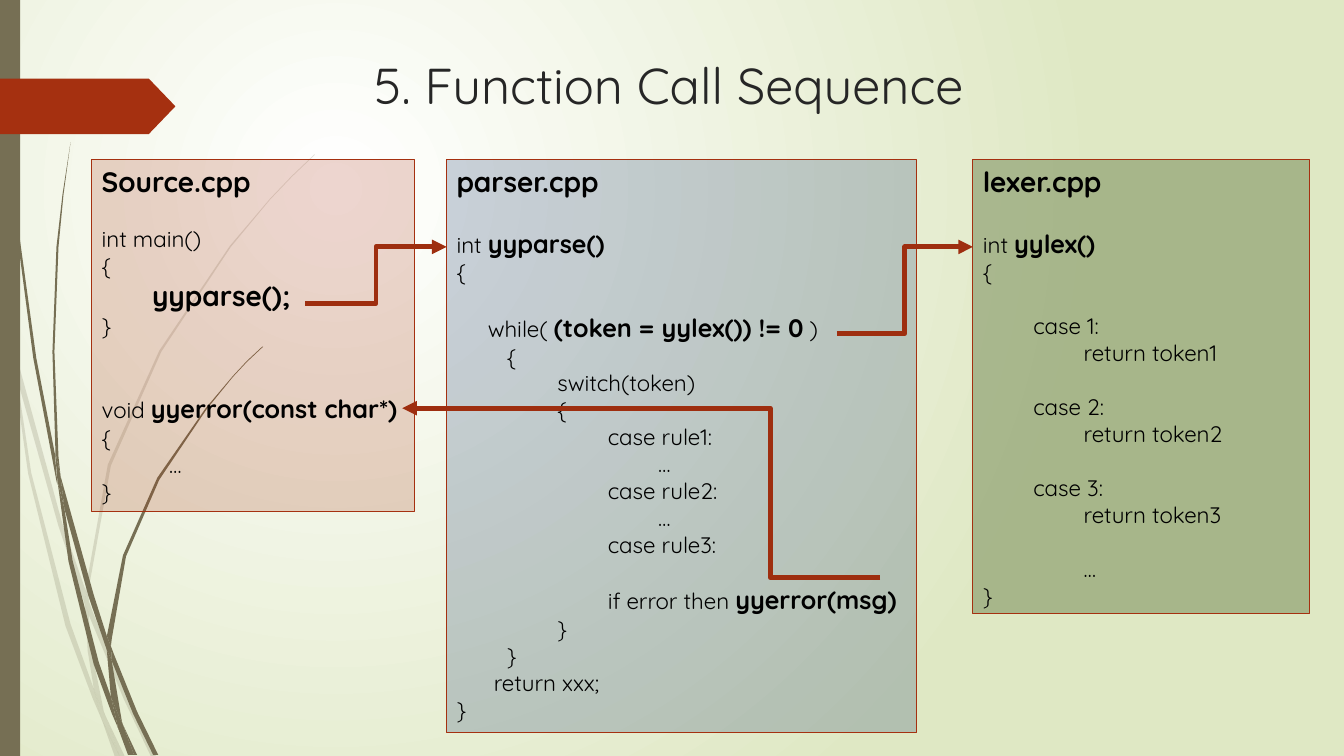
from lxml.etree import SubElement
from pptx import Presentation
from pptx.dml.color import RGBColor
from pptx.enum.shapes import MSO_CONNECTOR, MSO_SHAPE
from pptx.enum.text import MSO_ANCHOR, MSO_AUTO_SIZE, PP_ALIGN
from pptx.oxml.ns import qn
from pptx.util import Pt

PX = 9144
FONT = "Quicksand"
HEX = {"white": "FFFFFF", "lime": "DFE8C4", "olive": "766F54", "rust": "A53010",
       "arrow": "9E2E0F", "navy": "002060", "green": "728653", "black": "000000",
       "title": "262626"}

PALE = [
    [(11, 350), (9, 322), (0, 282), (0, 299), (10, 344)],
    [(58, 522), (84, 599), (85, 586), (62, 520), (14, 345), (17, 376)],
    [(92, 607), (88, 596), (88, 610), (123, 694), (150, 751), (155, 751), (127, 692)],
    [(119, 751), (124, 751), (105, 711)],
    [(93, 683), (70, 619), (31, 469), (17, 376), (11, 350), (28, 470), (65, 621),
     (92, 693), (101, 714), (99, 707)],
    [(84, 599), (87, 646), (93, 683), (96, 692), (105, 711), (103, 706), (91, 646),
     (88, 610), (88, 608)],
    [(88, 584), (110, 462), (160, 349), (229, 245), (268, 198), (290, 175), (312, 154),
     (312, 153), (289, 175), (268, 197), (228, 244), (158, 348), (107, 461), (85, 584),
     (85, 586), (88, 596)],
    [(101, 714), (114, 751), (119, 751)],
    [(88, 608), (88, 610), (88, 596), (85, 586), (84, 599)],
    [(96, 692), (93, 683), (99, 707), (101, 714), (119, 751), (105, 711)],
]
DARK = [
    [(7, 110), (17, 233), (33, 355), (56, 477), (57, 481), (55, 457), (55, 453),
     (36, 355), (19, 232), (8, 109), (5, 48), (4, 0), (3, 0), (4, 48)],
    [(88, 592), (106, 645), (106, 633), (106, 631), (93, 590), (60, 472), (64, 505)],
    [(113, 649), (110, 641), (111, 656), (132, 708), (152, 749), (157, 749), (136, 706)],
    [(110, 691), (98, 657), (72, 556), (64, 505), (57, 477), (68, 557), (93, 659),
     (111, 708), (117, 722), (116, 717)],
    [(60, 472), (58, 453), (54, 349), (58, 245), (63, 193), (70, 141), (62, 193),
     (56, 245), (52, 349), (55, 449)],
    [(133, 749), (136, 749), (122, 719)],
    [(57, 477), (64, 505), (60, 472), (55, 449), (55, 453)],
    [(111, 633), (125, 552), (158, 476), (205, 406), (231, 374), (245, 359), (261, 344),
     (260, 344), (245, 358), (231, 373), (204, 405), (156, 474), (122, 551), (106, 631),
     (110, 641)],
    [(117, 722), (127, 749), (131, 749)],
    [(106, 645), (110, 691), (116, 706), (122, 719), (121, 716), (111, 656), (109, 651)],
    [(106, 645), (109, 651), (111, 656), (110, 641), (106, 631), (106, 633)],
    [(116, 706), (110, 691), (116, 717), (117, 722), (130, 749), (133, 749), (122, 719)],
]

SOURCE = [("|Source.cpp", 0, 0, 20), ("int main()", 0, 27), ("{",),
          ("|yyparse();", 50, 0, 20), ("}",), ("void |yyerror(const char*)", 0, 54),
          ("{",), ("…", 67), ("}",)]
PARSER = [("|parser.cpp", 0, 0, 20), ("int |yyparse()", 0, 30), ("{",),
          ("while( |(token = yylex()) != 0| )", 31, 27), ("{", 50),
          ("switch(token)", 100), ("{", 100), ("case rule1:", 150), ("…", 200),
          ("case rule2:", 150), ("…", 200), ("case rule3:", 150),
          ("if error then |yyerror(msg)", 150, 27), ("}", 100), ("}", 50),
          ("return xxx;", 37), ("}",)]
LEXER = [("|lexer.cpp", 0, 0, 20), ("int |yylex()", 0, 30), ("{",),
         ("case 1:", 50, 27), ("return token1", 100), ("case 2:", 50, 27),
         ("return token2", 100), ("case 3:", 50, 27), ("return token3", 100),
         ("…", 100, 27), ("}",)]


def rgb(name):
    return RGBColor.from_string(HEX[name])


def paint(shape, fill, alpha=100, line=None):
    shape.shadow.inherit = False
    shape.fill.solid()
    shape.fill.fore_color.rgb = rgb(fill)
    if alpha < 100:
        tint = shape.fill._xPr.find(qn("a:solidFill"))[0]
        SubElement(tint, qn("a:alpha"), val=str(alpha * 1000))
    if line:
        shape.line.color.rgb = rgb(line)
        shape.line.width = Pt(0.75)
    else:
        shape.line.fill.background()


def write(para, text, size=16, big=18, color="black", left=0, gap=0):
    para.alignment = PP_ALIGN.LEFT
    para.space_before = gap * PX
    para._p.get_or_add_pPr().set("marL", str(left * PX))
    for i, part in enumerate(text.split("|")):
        if part:
            run = para.add_run()
            run.text = part
            font = run.font
            font.name, font.bold = FONT, i % 2 == 1
            font.size = Pt(big if font.bold else size)
            font.color.rgb = rgb(color)


def place(shapes, kind, box):
    return shapes.add_shape(kind, *(n * PX for n in box))


def ground(slide):
    fill = slide.background.fill
    fill.gradient()
    for stop, name, at in zip(fill.gradient_stops, ("white", "lime"), (0, 1)):
        stop.color.rgb = rgb(name)
        stop.position = at
    grad = next(slide.element.iter(qn("a:gradFill")))
    grad.remove(grad.find(qn("a:lin")))
    ring = SubElement(grad, qn("a:path"), path="circle")
    SubElement(ring, qn("a:fillToRect"), l="50000", t="50000", r="100000", b="100000")


def wisp(slide, parts, alpha):
    group = slide.shapes.add_group_shape()
    for dots in parts:
        pen = group.shapes.build_freeform(*dots[0], scale=PX)
        pen.add_line_segments(dots[1:])
        paint(pen.convert_to_shape(), "olive", alpha)


def side(slide):
    wisp(slide, PALE, 20)
    wisp(slide, DARK, 100)
    paint(place(slide.shapes, MSO_SHAPE.RECTANGLE, (0, 0, 20, 750)), "olive")
    flag = place(slide.shapes, MSO_SHAPE.PENTAGON, (0, 78, 174, 55))
    flag.adjustments[0] = 0.48
    paint(flag, "rust")


def head(slide, text, box):
    title = slide.shapes.title
    title.left, title.top, title.width, title.height = (n * PX for n in box)
    frame = title.text_frame
    frame.word_wrap = True
    frame.auto_size = MSO_AUTO_SIZE.NONE
    frame.vertical_anchor = MSO_ANCHOR.TOP
    write(frame.paragraphs[0], text, size=36, color="title")


def code(slide, box, lines, fill, alpha):
    shape = place(slide.shapes, MSO_SHAPE.RECTANGLE, box)
    paint(shape, fill, alpha, "rust")
    frame = shape.text_frame
    frame.word_wrap = True
    frame.vertical_anchor = MSO_ANCHOR.TOP
    for i, (text, *rest) in enumerate(lines):
        left, gap, big = rest + [0, 0, 18][len(rest):]
        para = frame.add_paragraph() if i else frame.paragraphs[0]
        write(para, text, left=left, gap=gap, big=big)


def call(slide, start, end, bend=50):
    link = slide.shapes.add_connector(
        MSO_CONNECTOR.ELBOW, *(n * PX for n in start + end))
    link.line.color.rgb = rgb("arrow")
    link.line.width = Pt(3.5)
    SubElement(link.line._get_or_add_ln(), qn("a:tailEnd"), type="triangle")
    props = link._element.spPr
    SubElement(props, qn("a:effectLst"))
    guide = props.find(qn("a:prstGeom")).find(qn("a:avLst"))
    SubElement(guide, qn("a:gd"), name="adj1", fmla=f"val {bend * 1000}")


def main():
    deck = Presentation()
    deck.slide_width, deck.slide_height = 1333 * PX, 750 * PX
    slide = deck.slides.add_slide(deck.slide_layouts[5])
    ground(slide)
    side(slide)
    head(slide, "5. Function Call Sequence", (361, 49, 720, 84))
    code(slide, (91, 158, 320, 350), SOURCE, "rust", 20)
    code(slide, (443, 158, 466, 569), PARSER, "navy", 20)
    code(slide, (965, 158, 334, 451), LEXER, "green", 51)
    call(slide, (303, 301), (443, 245))
    call(slide, (830, 331), (965, 245))
    call(slide, (873, 573), (399, 405), 23)
    deck.save("out.pptx")


if __name__ == "__main__":
    main()
